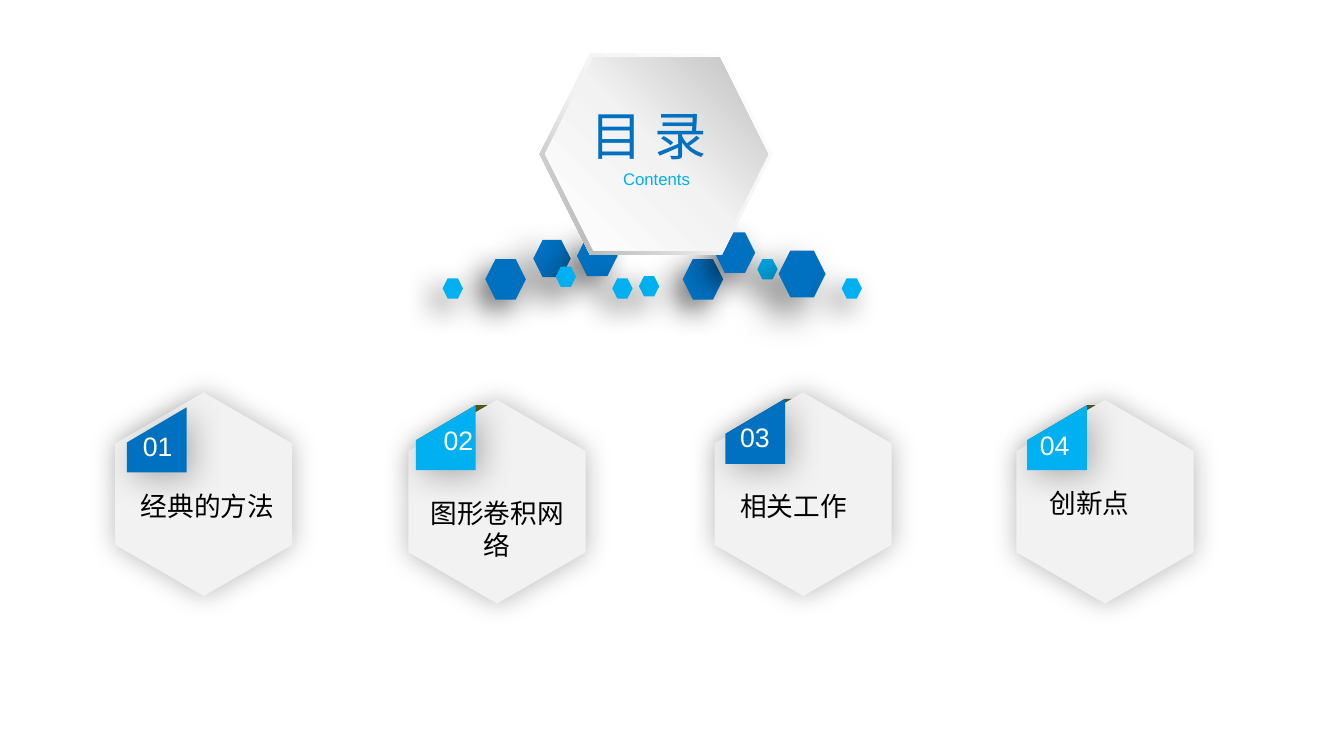
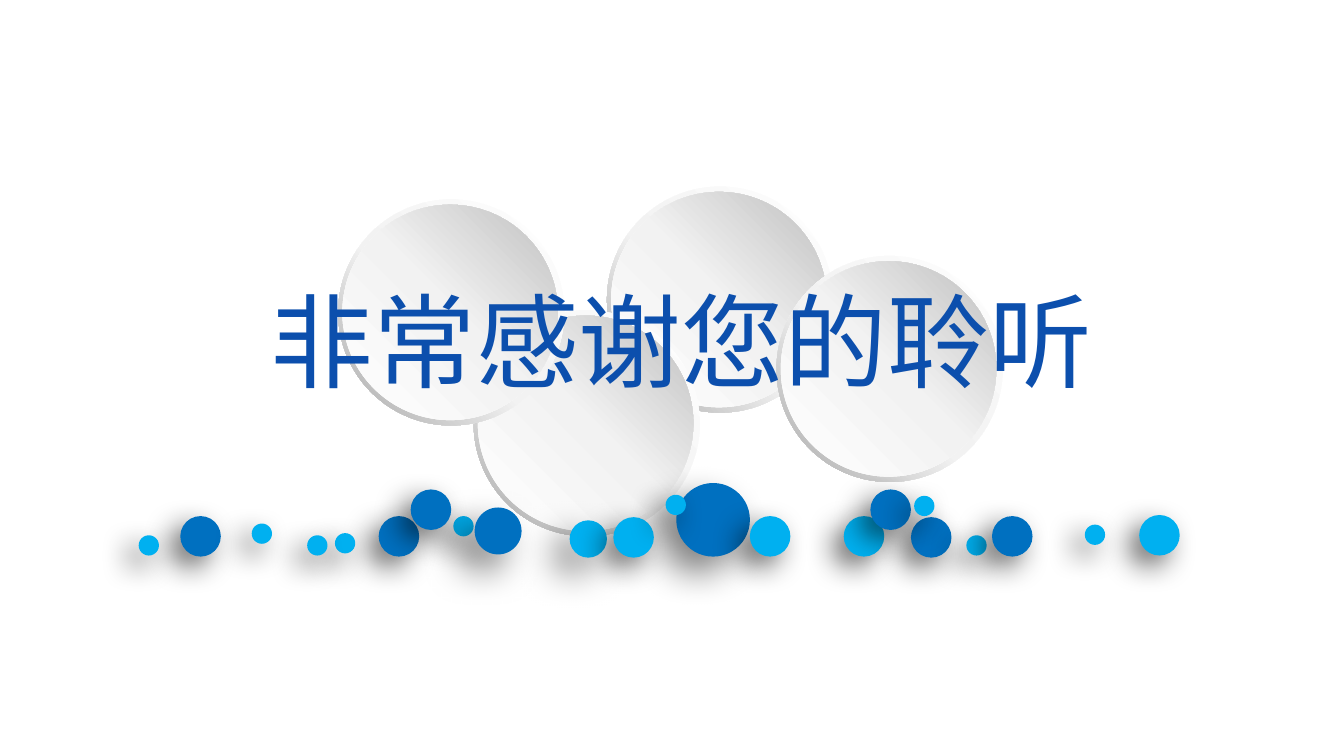
import dataclasses

import pptx
import pptx.dml.color
import pptx.enum.shapes
import pptx.enum.text
import pptx.oxml
import pptx.oxml.ns
import pptx.util

Inches = pptx.util.Inches
Shape = pptx.enum.shapes.MSO_SHAPE
Align = pptx.enum.text.PP_ALIGN
Anchor = pptx.enum.text.MSO_ANCHOR
Auto = pptx.enum.text.MSO_AUTO_SIZE
qn = pptx.oxml.ns.qn


@dataclasses.dataclass(frozen=True)
class Theme:
    font: str = "Arial"
    blue: str = "0070C0"
    sky: str = "00B0F0"
    navy: str = "0C4FAD"
    olive: str = "5F6524"
    pale: str = "F2F2F2"
    white: str = "FFFFFF"
    black: str = "000000"
    body: float = 18
    small: float = 11.3
    head: float = 35.3
    thanks: float = 69.3
    rim: tuple = ((0, "FFFFFF"), (55, "F2F2F2"), (100, "A6A6A6"))
    face: tuple = ((0, "FFFFFF"), (51, "F2F2F2"), (100, "BFBFBF"))
    glow: tuple = (28, 18, 0, 0)
    lift: tuple = (28, 22, 6, 45)
    near: tuple = (60, 20, 10, 135)
    far: tuple = (50, 25, 15, 135)


THEME = Theme()

DOTS = {
    "tiny": (0.19, THEME.sky, THEME.near),
    "lite": (0.38, THEME.sky, THEME.near),
    "dark": (0.38, THEME.blue, THEME.near),
    "soft": (0.35, THEME.sky, THEME.far),
    "deep": (0.35, THEME.blue, THEME.far),
    "wide": (0.44, THEME.blue, THEME.far),
    "huge": (0.69, THEME.blue, THEME.far),
}

HEX = ((0, 1.43), (0, 0.48), (0.83, 0), (1.66, 0.48), (1.66, 1.43), (0.83, 1.91))
FOLD = ((0, 0.33), (0.56, 0), (0.73, 0), (0.73, 0.33))
TAB = ((0, 0.61), (0.56, 0.61), (0.56, 0), (0, 0.33))

CARDS = (
    ("01", "经典的方法", (1.08, 3.68), (1.19, 3.82), (1.24, 3.98),
     THEME.blue, Align.LEFT, (0.24, 0.91)),
    ("02", "图形卷积网络", (3.83, 3.75), (3.9, 3.8), (4.06, 3.93),
     THEME.sky, Align.CENTER, (0.09, 0.91)),
    ("03", "相关工作", (6.7, 3.68), (6.8, 3.74), (6.84, 3.9),
     THEME.blue, Align.LEFT, (0.24, 0.91)),
    ("04", "创新点", (9.53, 3.75), (9.63, 3.8), (9.65, 3.97),
     THEME.sky, Align.LEFT, (0.31, 0.82)),
)

HEXES = (
    ("dark", 6.4, 2.43), ("tiny", 5.99, 2.59), ("tiny", 7.1, 2.43),
    ("deep", 5, 2.25), ("dark", 5.41, 2.21), ("tiny", 5.74, 2.61),
    ("wide", 7.3, 2.35), ("dark", 4.55, 2.43), ("tiny", 4.15, 2.61),
    ("dark", 6.7, 2.18), ("tiny", 5.21, 2.5), ("tiny", 7.89, 2.61),
)

DISCS = ((5.69, 1.75), (4.44, 2.91), (3.17, 1.87), (7.28, 2.4))

BEADS = (
    ("huge", 6.34, 4.53), ("lite", 7.91, 4.84), ("dark", 3.55, 4.84),
    ("tiny", 3.14, 5), ("dark", 8.54, 4.85), ("tiny", 4.25, 4.84),
    ("tiny", 9.06, 5.02), ("soft", 5.34, 4.88), ("dark", 9.3, 4.84),
    ("lite", 5.75, 4.85), ("tiny", 10.17, 4.92), ("dark", 8.16, 4.59),
    ("tiny", 2.88, 5.02), ("tiny", 6.24, 4.64), ("wide", 4.45, 4.76),
    ("lite", 7.03, 4.84), ("dark", 1.69, 4.84), ("tiny", 1.3, 5.02),
    ("dark", 3.85, 4.59), ("tiny", 2.36, 4.91), ("tiny", 8.57, 4.65),
    ("lite", 10.68, 4.83),
)


def rgb(tone):
    return pptx.dml.color.RGBColor.from_string(tone)


def shade(shape, shadow):
    shape.shadow.inherit = False
    if shadow is None:
        return
    alpha, blur, dist, angle = shadow
    glow = pptx.oxml.parse_xml(
        f'<a:outerShdw {pptx.oxml.ns.nsdecls("a")} blurRad="{pptx.util.Pt(blur)}"'
        f' dist="{pptx.util.Pt(dist)}" dir="{angle * 60000}" algn="ctr" rotWithShape="0">'
        f'<a:srgbClr val="{THEME.black}"><a:alpha val="{alpha * 1000}"/></a:srgbClr>'
        '</a:outerShdw>')
    shape.element.spPr.find(qn("a:effectLst")).append(glow)


def paint(shape, tone, shadow=None):
    shape.fill.solid()
    shape.fill.fore_color.rgb = rgb(tone)
    shape.line.fill.background()
    shade(shape, shadow)


def blend(shape, stops, angle):
    shape.fill.gradient()
    shape.fill.gradient_angle = 360 - angle
    items = shape.element.spPr.find(qn("a:gradFill")).find(qn("a:gsLst"))
    for item in list(items):
        items.remove(item)
    for place, tone in stops:
        items.append(pptx.oxml.parse_xml(
            f'<a:gs {pptx.oxml.ns.nsdecls("a")} pos="{place * 1000}">'
            f'<a:srgbClr val="{tone}"/></a:gs>'))
    shape.line.fill.background()
    shade(shape, None)


def write(shape, text, size, tone, align=Align.LEFT, anchor=Anchor.TOP,
          inset=(0.1, 0.05), wrap=True):
    frame = shape.text_frame
    frame.auto_size = Auto.NONE
    frame.word_wrap = wrap
    frame.vertical_anchor = anchor
    frame.margin_left, frame.margin_top = map(Inches, inset)
    frame.margin_right, frame.margin_bottom = Inches(0.09), Inches(0.05)
    line = frame.paragraphs[0]
    line.text = text
    line.alignment = align
    line.font.name = THEME.font
    line.font.size = pptx.util.Pt(size)
    line.font.color.rgb = rgb(tone)


def add_title(slide, text, box, size, tone, **style):
    title = slide.shapes.title
    title.left, title.top, title.width, title.height = map(Inches, box)
    write(title, text, size, tone, **style)
    title.element.getparent().append(title.element)


def add_text(slide, text, box, size, tone, **style):
    write(slide.shapes.add_textbox(*map(Inches, box)), text, size, tone, **style)


def add_form(slide, kind, box):
    return slide.shapes.add_shape(kind, *map(Inches, box))


def add_poly(slide, at, points, tone, shadow=None):
    spots = [(Inches(at[0] + x), Inches(at[1] + y)) for x, y in points]
    maker = slide.shapes.build_freeform(*spots[0])
    maker.add_line_segments(spots[1:], close=True)
    shape = maker.convert_to_shape()
    paint(shape, tone, shadow)
    return shape


def add_dots(slide, kind, dots):
    for name, x, y in dots:
        size, tone, shadow = DOTS[name]
        paint(add_form(slide, kind, (x, y, size, size)), tone, shadow)


def add_card(slide, label, text, at, tab, spot, tone, align, inset):
    add_poly(slide, tab, FOLD, THEME.olive)
    card = add_poly(slide, at, HEX, THEME.pale, THEME.glow)
    write(card, text, THEME.body, THEME.black, align=align, inset=inset)
    add_poly(slide, tab, TAB, tone, THEME.lift)
    add_text(slide, label, (*spot, 1.31, 0.4), THEME.body, THEME.white)


def add_plate(slide, rim, face):
    blend(rim, THEME.rim, 135)
    blend(add_form(slide, *face), THEME.face, 315)


def add_disc(slide, x, y):
    rim = add_form(slide, Shape.DONUT, (x, y, 2.12, 2.12))
    rim.adjustments[0] = 0.049
    add_plate(slide, rim, (Shape.OVAL, (x + 0.04, y + 0.05, 2.02, 2.02)))


def build_list(slide):
    for card in CARDS:
        add_card(slide, *card)
    add_dots(slide, Shape.HEXAGON, HEXES[:-1])
    rim = add_form(slide, Shape.HEXAGON, (5.06, 0.5, 2.18, 1.89))
    add_plate(slide, rim, (Shape.HEXAGON, (5.11, 0.54, 2.09, 1.81)))
    add_title(slide, "目 录", (5.41, 0.91, 1.54, 0.72), THEME.head, THEME.blue,
              inset=(0.13, 0.06))
    add_dots(slide, Shape.HEXAGON, HEXES[-1:])
    add_text(slide, "Contents", (5.21, 1.42, 1.89, 0.52), THEME.small, THEME.sky,
             align=Align.CENTER, anchor=Anchor.MIDDLE, inset=(0.09, 0.05))


def build_end(slide):
    for disc in DISCS:
        add_disc(slide, *disc)
    add_title(slide, "非常感谢您的聆听", (2.44, 2.56, 7.97, 1.27), THEME.thanks,
              THEME.navy, wrap=False)
    add_dots(slide, Shape.OVAL, BEADS)


def main():
    deck = pptx.Presentation()
    deck.slide_width, deck.slide_height = Inches(12.6), Inches(7.09)
    for build in (build_list, build_end):
        build(deck.slides.add_slide(deck.slide_layouts[5]))
    deck.save("out.pptx")


if __name__ == "__main__":
    main()
